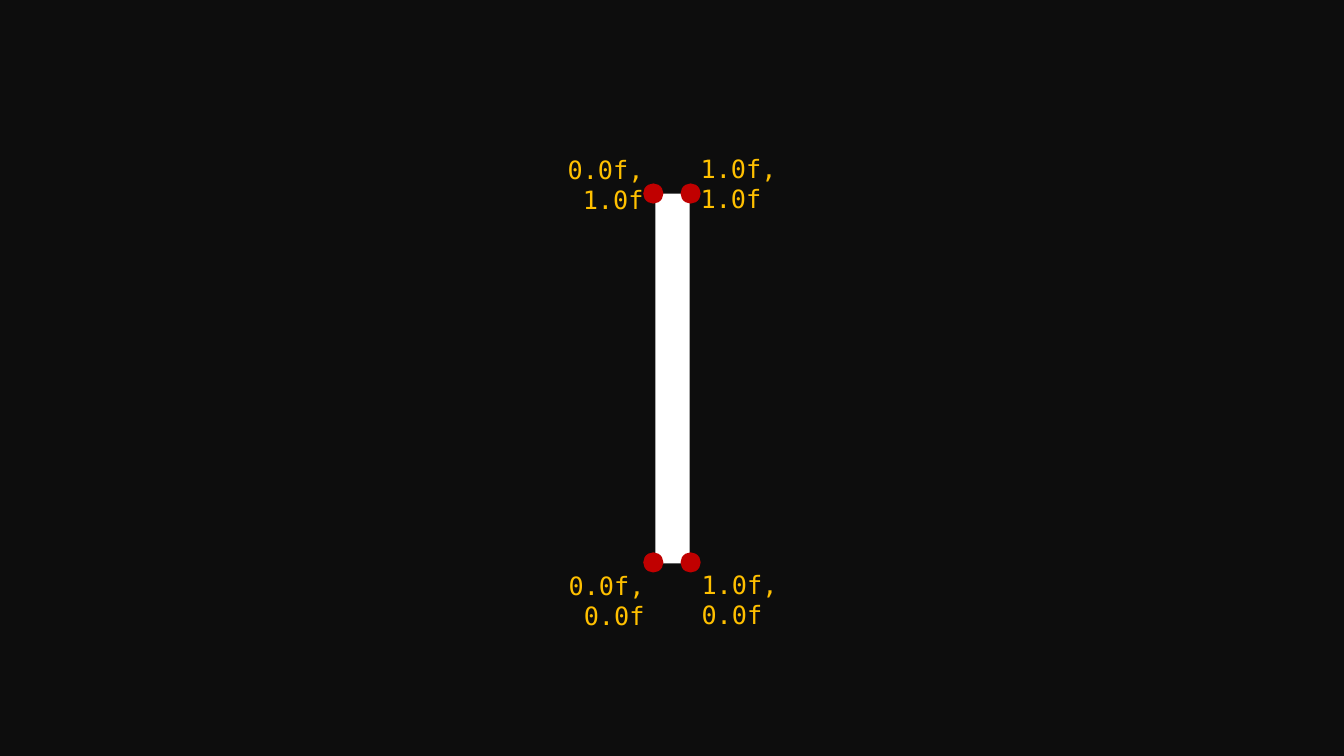
from pptx import Presentation
from pptx.dml.color import RGBColor
from pptx.enum import shapes, text
from pptx.util import Inches, Pt

NIGHT = RGBColor(0x0D, 0x0D, 0x0D)
WHITE = RGBColor(0xFF, 0xFF, 0xFF)
RED = RGBColor(0xC0, 0x00, 0x00)
AMBER = RGBColor(0xFF, 0xC0, 0x00)

RECT = shapes.MSO_SHAPE.RECTANGLE
OVAL = shapes.MSO_SHAPE.OVAL
LEFT, RIGHT = text.PP_ALIGN.LEFT, text.PP_ALIGN.RIGHT

deck = Presentation()
deck.slide_width, deck.slide_height = Inches(13.33), Inches(7.5)
slide = deck.slides.add_slide(deck.slide_layouts[6])


def add_filled(preset, left, top, width, height, color):
    filled = slide.shapes.add_shape(
        preset, Inches(left), Inches(top), Inches(width), Inches(height))
    filled.shadow.inherit = False
    filled.fill.solid()
    filled.fill.fore_color.rgb = color
    filled.line.fill.background()


add_filled(RECT, 0, 0, 13.33, 7.5, NIGHT)
add_filled(RECT, 6.5, 1.92, 0.34, 3.67, WHITE)

for vertex_left in (6.38, 6.75):
    for vertex_top in (5.48, 1.82):
        add_filled(OVAL, vertex_left, vertex_top, 0.2, 0.2, RED)

texture_coordinates = [
    ("0.0f, 0.0f", 4.9, 5.61, RIGHT),
    ("1.0f, 0.0f", 6.86, 5.6, LEFT),
    ("0.0f, 1.0f", 4.89, 1.48, RIGHT),
    ("1.0f, 1.0f", 6.85, 1.47, LEFT),
]
for coordinate, left, top, alignment in texture_coordinates:
    label = slide.shapes.add_textbox(
        Inches(left), Inches(top), Inches(1.59), Inches(0.4)).text_frame
    label.word_wrap = True
    label.auto_size = text.MSO_AUTO_SIZE.SHAPE_TO_FIT_TEXT
    line = label.paragraphs[0]
    line.alignment = alignment
    run = line.add_run()
    run.text = coordinate
    run.font.name = "DejaVu Sans Mono"
    run.font.size = Pt(18)
    run.font.color.rgb = AMBER

deck.save("out.pptx")
